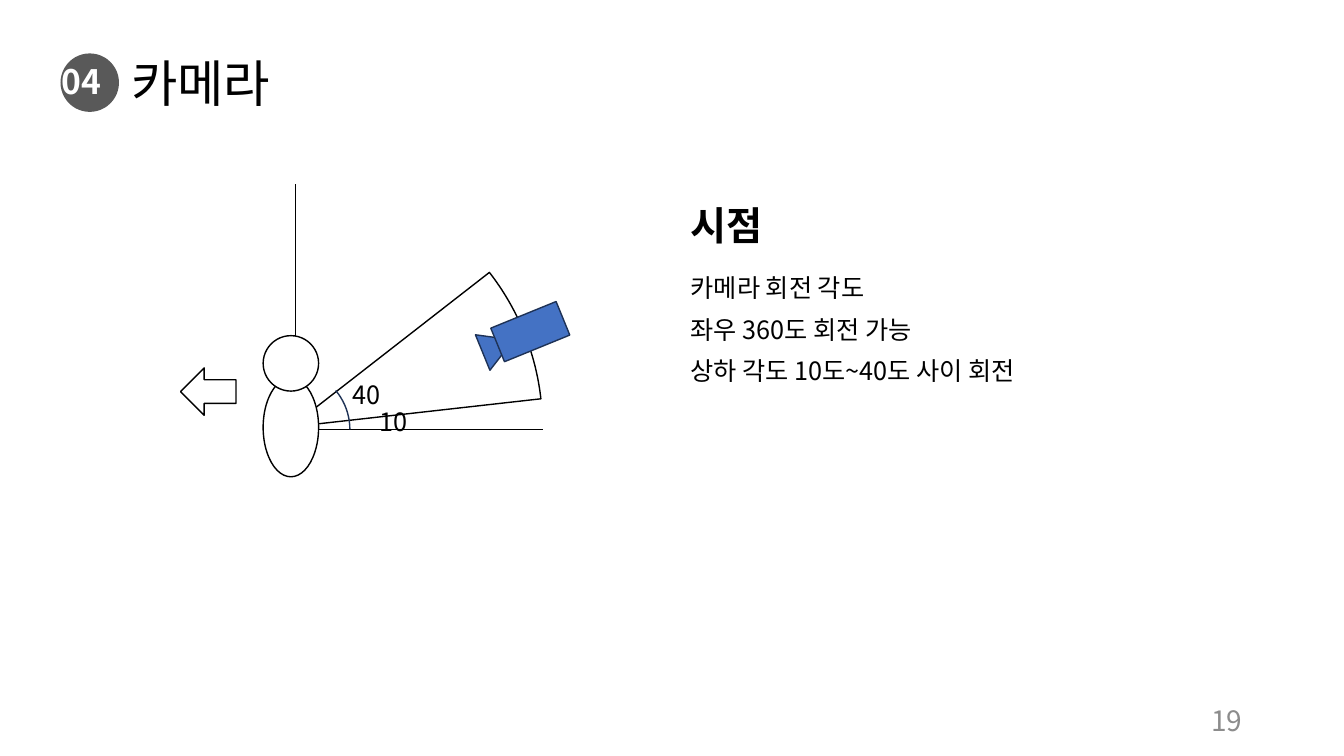
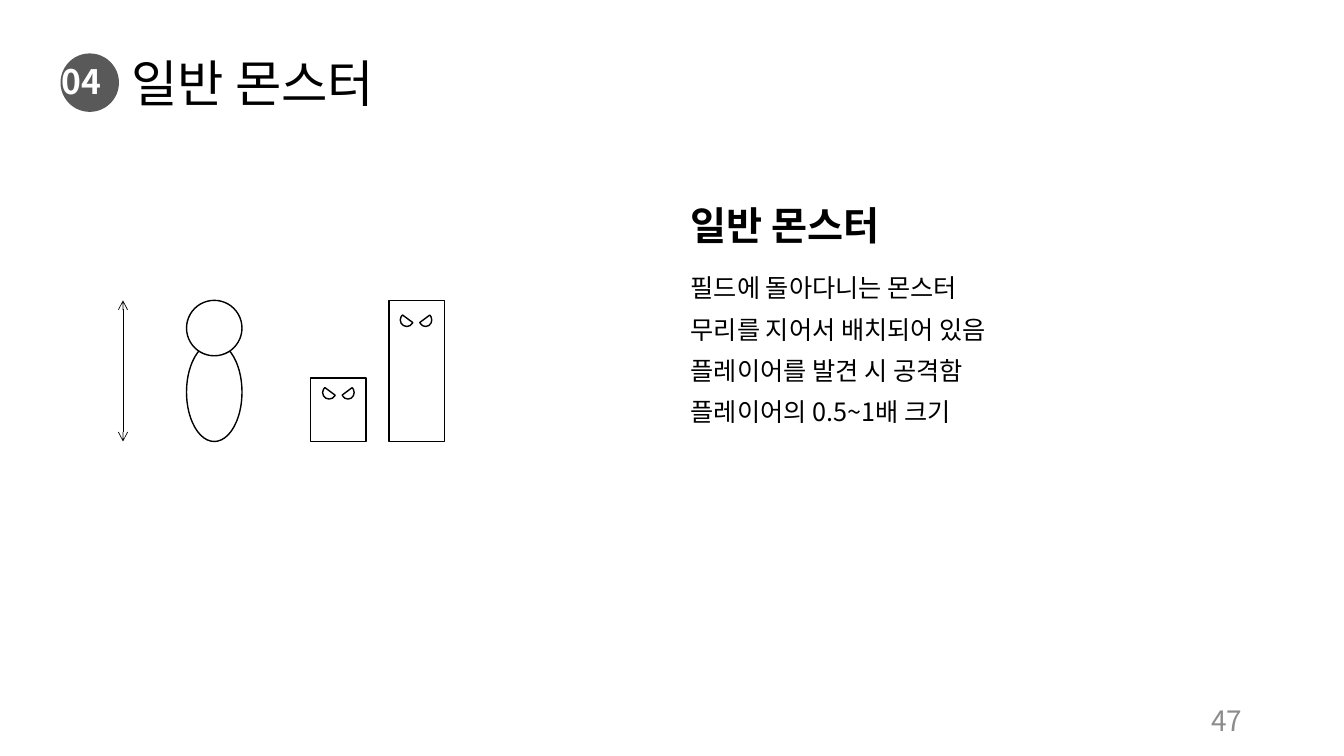
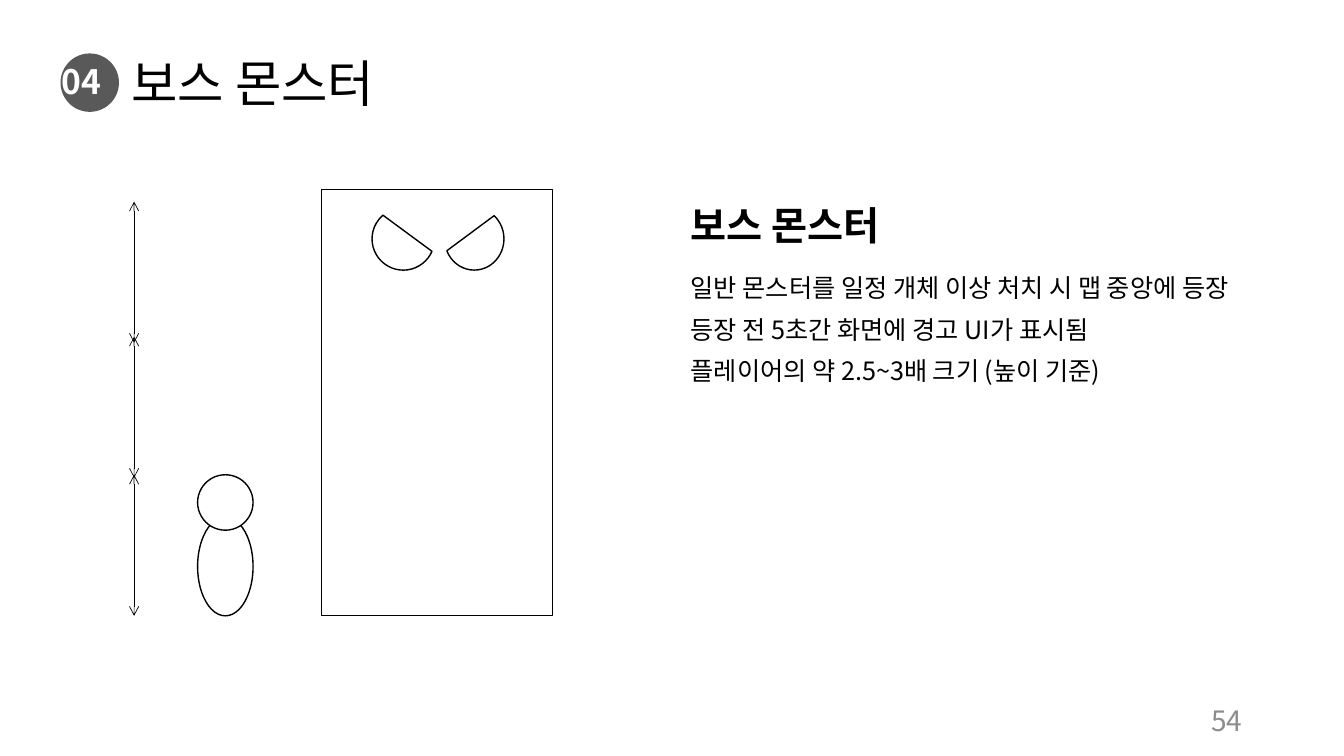
from math import cos, radians, sin

from lxml.etree import SubElement
from pptx import Presentation
from pptx.dml.color import RGBColor
from pptx.enum.shapes import MSO_CONNECTOR as Conn, MSO_SHAPE as Kind
from pptx.enum.text import MSO_ANCHOR as Anchor, MSO_AUTO_SIZE as Fit, PP_ALIGN as Align
from pptx.oxml.ns import qn
from pptx.util import Inches, Pt

FONT = "Noto Sans CJK KR"
COLORS = {
    "ink": "000000",
    "paper": "FFFFFF",
    "badge": "595959",
    "page": "8C8C8C",
    "lens": "4472C4",
    "edge": "1E3256",
}
PLACES = {
    0: (1.2, 0.41, 4.87, 0.9),
    1: (6.75, 2, 5.67, 0.49),
    2: (6.75, 2.69, 5.67, 0.49),
    3: (0.51, 0.57, 0.68, 0.49),
}
STYLES = {
    0: (36, "ink", False, Anchor.MIDDLE),
    1: (28, "ink", True, Anchor.TOP),
    2: (18, "ink", False, Anchor.TOP),
    3: (24, "paper", True, Anchor.BOTTOM),
}
PAGES = [
    {
        "title": "카메라",
        "head": "시점",
        "page": "19",
        "lines": ["카메라 회전 각도", "좌우 360도 회전 가능", "상하 각도 10도~40도 사이 회전"],
    },
    {
        "title": "일반 몬스터",
        "head": "일반 몬스터",
        "page": "47",
        "lines": [
            "필드에 돌아다니는 몬스터",
            "무리를 지어서 배치되어 있음",
            "플레이어를 발견 시 공격함",
            "플레이어의 0.5~1배 크기",
        ],
    },
    {
        "title": "보스 몬스터",
        "head": "보스 몬스터",
        "page": "54",
        "lines": [
            "일반 몬스터를 일정 개체 이상 처치 시 맵 중앙에 등장",
            "등장 전 5초간 화면에 경고 UI가 표시됨",
            "플레이어의 약 2.5~3배 크기 (높이 기준)",
        ],
    },
]
ANGLES = [("40", 3.4, 3.71), ("10", 3.67, 3.98)]
TALL = 1.4


def color(name):
    return RGBColor.from_string(COLORS[name])


def style(para, size, ink, bold=False):
    for run in para.runs:
        font = run.font
        font.size, font.bold, font.name = Pt(size), bold, FONT
        font.color.rgb = color(ink)
        SubElement(font._element, qn("a:ea"), typeface=FONT)


def fill_text(holder, lines, size, ink, bold, anchor):
    frame = holder.text_frame
    frame.text = "\n".join(lines)
    frame.word_wrap = True
    frame.auto_size = Fit.NONE
    frame.vertical_anchor = anchor
    for i, para in enumerate(frame.paragraphs):
        para.alignment = Align.LEFT
        para.line_spacing = 0.9
        para.space_before = Pt(10 if i else 0)
        props = para._p.get_or_add_pPr()
        props.set("marL", "0")
        props.set("indent", "0")
        SubElement(props, qn("a:buNone"))
        style(para, size, ink, bold)


def label(slide, text, box, size, ink):
    frame = slide.shapes.add_textbox(*map(Inches, box)).text_frame
    frame.text = text
    style(frame.paragraphs[0], size, ink)
    return frame


def paint(shape, fill, line):
    shape.shadow.inherit = False
    if fill:
        shape.fill.solid()
        shape.fill.fore_color.rgb = color(fill)
    else:
        shape.fill.background()
    if line:
        shape.line.color.rgb = color(line)
        shape.line.width = Pt(1)
    else:
        shape.line.fill.background()


def draw(slide, kind, box, fill=None, line="ink", adjust=(), turn=0):
    shape = slide.shapes.add_shape(kind, *map(Inches, box))
    for i, value in enumerate(adjust):
        shape.adjustments[i] = value
    shape.rotation = turn
    paint(shape, fill, line)
    return shape


def rule(slide, start, end, arrows=False):
    line = slide.shapes.add_connector(Conn.STRAIGHT, *map(Inches, start + end))
    line.line.color.rgb = color("ink")
    line.line.width = Pt(0.5)
    if arrows:
        stroke = line.line._get_or_add_ln()
        for tip in ("a:headEnd", "a:tailEnd"):
            SubElement(stroke, qn(tip), type="arrow")
    SubElement(line._element.spPr, qn("a:effectLst"))


def player(slide, x, y):
    draw(slide, Kind.OVAL, (x, y + 0.42, 0.55, 0.98), "paper")
    draw(slide, Kind.OVAL, (x, y, 0.55, 0.55), "paper")


def monster(slide, box, inset, eye, step):
    draw(slide, Kind.RECTANGLE, box)
    x, y = box[0] + inset[0], box[1] + inset[1]
    for i in range(2):
        place = (x + i * step, y, eye * (1 - 0.05 * i), eye)
        shape = draw(slide, Kind.CHORD, place, adjust=(14.077, 137.639))
        if i:
            shape._element.spPr.xfrm.set("flipH", "1")


def height(slide, x, y):
    rule(slide, (x, y), (x, y + TALL), arrows=True)


def camera(slide):
    rule(slide, (2.93, 4.26), (2.93, 1.83))
    rule(slide, (2.91, 4.26), (5.39, 4.26))
    draw(slide, Kind.PIE, (0.39, 1.74, 4.99, 4.99), adjust=(193.258, 212.152))
    player(slide, 2.61, 3.33)
    draw(slide, Kind.ISOSCELES_TRIANGLE, (4.75, 3.27, 0.38, 0.33), "lens", "edge", turn=67.8)
    draw(slide, Kind.RECTANGLE, (4.91, 3.11, 0.7, 0.36), "lens", "edge", turn=337.8)
    draw(slide, Kind.LEFT_ARROW, (1.79, 3.65, 0.55, 0.47), "paper")
    turns = [radians(40 - 4 * i) for i in range(11)]
    points = [(Inches(2.87 + 0.6 * cos(t)), Inches(4.26 - 0.6 * sin(t))) for t in turns]
    path = slide.shapes.build_freeform(*points[0])
    path.add_line_segments(points[1:], close=False)
    paint(path.convert_to_shape(), None, "edge")
    for text, x, y in ANGLES:
        frame = label(slide, text, (x, y, 0.48, 0.4), 18, "ink")
        frame.word_wrap = False
        frame.auto_size = Fit.SHAPE_TO_FIT_TEXT


def field(slide):
    player(slide, 1.85, 2.98)
    monster(slide, (3.86, 2.98, 0.55, TALL), (0.11, 0.13), 0.13, 0.19)
    monster(slide, (3.08, 3.75, 0.55, 0.63), (0.12, 0.08), 0.13, 0.19)
    height(slide, 1.22, 2.98)


def boss(slide):
    player(slide, 1.96, 4.71)
    monster(slide, (3.19, 1.88, 2.29, 4.23), (0.5, 0.18), 0.62, 0.72)
    for y in (4.71, 3.34, 2):
        height(slide, 1.33, y)


def set_layout(layout):
    for holder in list(layout.placeholders):
        idx = holder.placeholder_format.idx
        if idx in PLACES:
            holder.left, holder.top, holder.width, holder.height = map(Inches, PLACES[idx])
        else:
            holder._element.getparent().remove(holder._element)


def add_page(deck, layout, page, sketch):
    slide = deck.slides.add_slide(layout)
    texts = {0: [page["title"]], 1: [page["head"]], 2: page["lines"], 3: ["04"]}
    for holder in slide.placeholders:
        idx = holder.placeholder_format.idx
        fill_text(holder, texts[idx], *STYLES[idx])
    frame = label(slide, page["page"], (9.42, 6.95, 3, 0.4), 20, "page")
    frame.word_wrap = True
    frame.vertical_anchor = Anchor.MIDDLE
    frame.paragraphs[0].alignment = Align.RIGHT
    sketch(slide)
    return slide


def main():
    deck = Presentation()
    deck.slide_width, deck.slide_height = Inches(13.33), Inches(7.5)
    layout = deck.slide_layouts[4]
    set_layout(layout)
    slides = [add_page(deck, layout, *pair) for pair in zip(PAGES, (camera, field, boss))]
    badge = draw(slides[0], Kind.OVAL, (0.6, 0.53, 0.58, 0.58), "badge", None)
    layout.shapes.element.insert(2, badge._element)
    deck.save("out.pptx")


if __name__ == "__main__":
    main()
